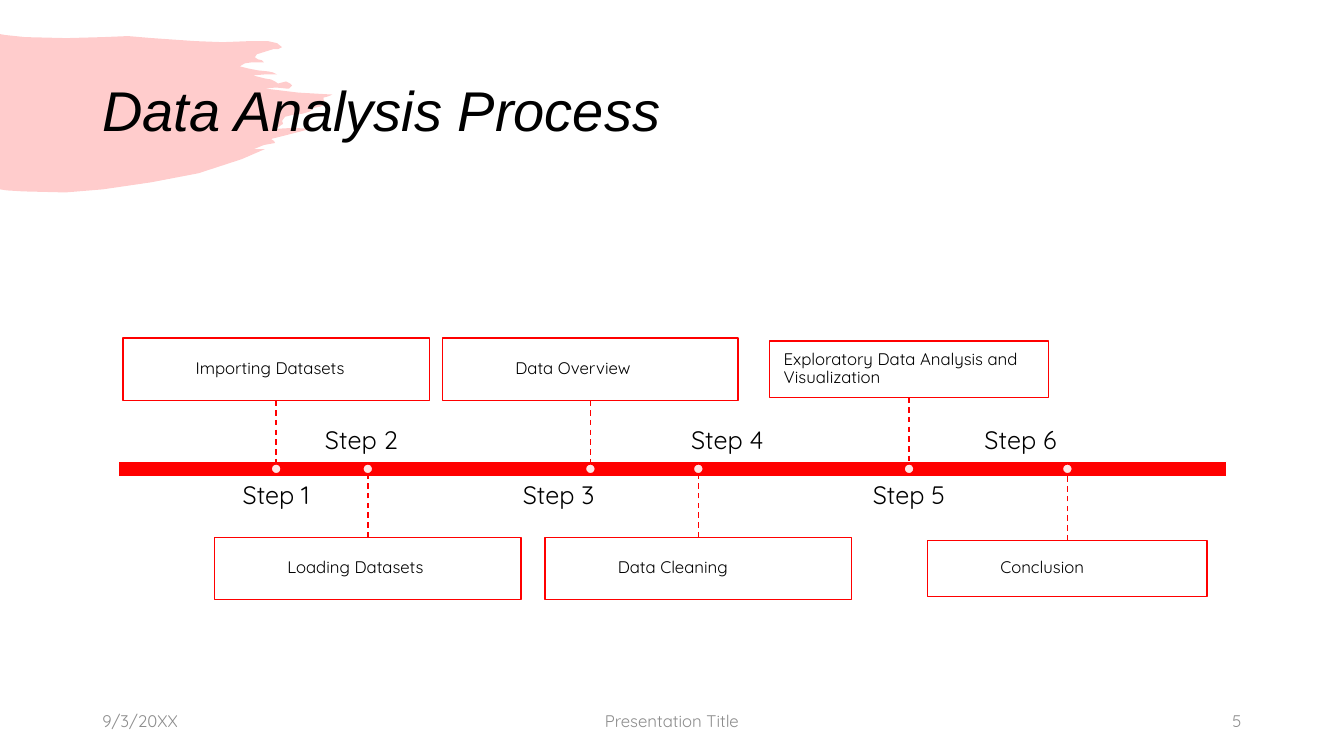
import pptx
import pptx.util
import pptx.dml.color
import pptx.enum.dml
import pptx.enum.shapes
import pptx.enum.text
import pptx.oxml
import pptx.oxml.ns

Cm, Pt = pptx.util.Cm, pptx.util.Pt
RGB = pptx.dml.color.RGBColor
SHAPE = pptx.enum.shapes.MSO_SHAPE
ANCHOR = pptx.enum.text.MSO_ANCHOR
ALIGN = pptx.enum.text.PP_ALIGN

COLORS = {"red": "FF0000", "white": "FFFFFF", "black": "000000", "gray": "8C8C8C"}
BODY = "Quicksand"

# Outline of the brush stroke, in hundredths of an inch
BRUSH = [
    (0, 34), (6, 35), (25, 37), (66, 38), (102, 37), (127, 36), (151, 38),
    (194, 41), (221, 42), (248, 41), (266, 41), (275, 43), (280, 47), (276, 49),
    (271, 49), (255, 54), (253, 57), (256, 59), (260, 60), (262, 62),
    (250, 62), (243, 63), (238, 66), (246, 68), (256, 70), (266, 71),
    (271, 72), (275, 74), (263, 74), (251, 75), (263, 78), (269, 79),
    (273, 81), (276, 83), (280, 82), (284, 81), (288, 83), (290, 85),
    (287, 88), (284, 88), (274, 87), (263, 88), (296, 92), (330, 94),
    (325, 96), (321, 97), (322, 104), (318, 106), (312, 107), (307, 111),
    (300, 113), (291, 114), (283, 116), (280, 120), (281, 123), (278, 125),
    (274, 128), (291, 127), (308, 128), (289, 133), (269, 138), (272, 140),
    (273, 142), (262, 144), (252, 148), (258, 148), (263, 148), (240, 158),
    (197, 172), (150, 181), (102, 188), (65, 191), (23, 190), (7, 189), (0, 188)]

# Text, centre of the box, its width and height, shift of the label, indent
STEPS = [
    ("Importing Datasets", 3.99, 7.72, 1.57, 0, 1.47),
    ("Loading Datasets", 6.3, 7.72, 1.57, -0.16, 1.47),
    ("Data Overview", 11.91, 7.44, 1.57, -0.8, 1.47),
    ("Data Cleaning", 14.63, 7.72, 1.57, 0.73, 1.47),
    ("Exploratory Data Analysis and Visualization", 19.94, 7.04, 1.42, 0, 0),
    ("Conclusion", 23.93, 7.04, 1.42, -1.18, 1.47)]


def tint(fill, color, alpha=100):
    """Fill with a solid colour, at the given percentage of opacity."""
    fill.solid()
    fill.fore_color.rgb = RGB.from_string(COLORS[color])
    if alpha < 100:
        tag = fill._xPr.find(".//" + pptx.oxml.ns.qn("a:srgbClr"))
        node = pptx.oxml.parse_xml(
            f'<a:alpha {pptx.oxml.ns.nsdecls("a")} val="{alpha * 1000}"/>')
        tag.append(node)


def write(shape, text, size, color="black", font=BODY, align=ALIGN.LEFT,
          anchor=ANCHOR.MIDDLE, pads=(0.25, 0.13), space=0.9):
    frame = shape.text_frame
    frame.text = text
    frame.word_wrap = True
    frame.auto_size = pptx.enum.text.MSO_AUTO_SIZE.NONE
    frame.vertical_anchor = anchor
    frame.margin_left = frame.margin_right = Cm(pads[0])
    frame.margin_top = frame.margin_bottom = Cm(pads[1])
    para = frame.paragraphs[0]
    para.alignment = align
    para.line_spacing = space
    face = para.runs[0].font
    face.name, face.size = font, Pt(size)
    face.color.rgb = RGB.from_string(COLORS[color])
    return para


def block(slide, kind, box, fill, line, alpha=100):
    """Add a preset shape with a one-point outline."""
    shape = slide.shapes.add_shape(kind, *map(Cm, box))
    shape.shadow.inherit = False
    tint(shape.fill, fill, alpha)
    tint(shape.line.fill, line)
    shape.line.width = Pt(1)
    return shape


def brush(slide, box):
    pen = slide.shapes.build_freeform(*BRUSH[0], scale=Cm(2.54) / 100)
    pen.add_line_segments(BRUSH[1:], close=True)
    shape = pen.convert_to_shape()
    shape.left, shape.top, shape.width, shape.height = map(Cm, box)
    shape.shadow.inherit = False
    tint(shape.fill, "red", 20)
    shape.line.fill.background()
    slide.shapes.title.element.addprevious(shape.element)


def title(slide, box):
    shape = slide.shapes.title
    shape.left, shape.top, shape.width, shape.height = map(Cm, box)
    para = write(shape, "Data Analysis Process", 40, font="Arial")
    para.runs[0].font.italic = True


def stem(slide, card, x, axis, above):
    """Join a card to the axis with a dashed line."""
    line = slide.shapes.add_connector(
        pptx.enum.shapes.MSO_CONNECTOR.STRAIGHT, Cm(x), Cm(axis), Cm(x), Cm(axis))
    line.begin_connect(card, 2 if above else 0)
    tint(line.line.fill, "red")
    line.line.width = Pt(1)
    line.line.dash_style = pptx.enum.dml.MSO_LINE.DASH
    line._element.spPr.append(pptx.oxml.parse_xml(
        f'<a:effectLst {pptx.oxml.ns.nsdecls("a")}/>'))


def step(slide, num, x, axis, text, width, height, shift, indent):
    above = num % 2 == 1
    side = -1 if above else 1
    card = block(slide, SHAPE.RECTANGLE,
                 (x - width / 2, axis + side * 2.51 - height / 2, width, height),
                 "white", "red", 90)
    para = write(card, text, 12, pads=(0.36, 0.08))
    para._p.get_or_add_pPr().set("marL", str(Cm(indent)))
    stem(slide, card, x, axis, above)

    wide, high, gap = 6.37, 1.07, 0.36
    top = axis + gap if above else axis - gap - high
    label = slide.shapes.add_textbox(
        Cm(x + shift - wide / 2), Cm(top), Cm(wide), Cm(high))
    write(label, f"Step {num}", 18, align=ALIGN.CENTER, pads=(0, 0),
          anchor=ANCHOR.TOP if above else ANCHOR.BOTTOM)

    dot = 0.25
    block(slide, SHAPE.OVAL, (x - dot / 2, axis - dot / 2, dot, dot),
          "white", "red", 90)


def timeline(slide, box):
    left, top, width, height = box
    axis, thick = top + height / 2, 0.38
    block(slide, SHAPE.RECTANGLE, (left, axis - thick / 2, width, thick),
          "red", "white")
    for num, (text, x, *rest) in enumerate(STEPS, 1):
        step(slide, num, left + x, axis, text, *rest)


def footer(slide, box):
    left, top, width, height = box
    side, mid = 7.62, 11.43
    parts = [("9/3/20XX", 0, side, ALIGN.LEFT),
             ("Presentation Title", (width - mid) / 2, mid, ALIGN.CENTER),
             ("5", width - side, side, ALIGN.RIGHT)]
    for text, x, wide, align in parts:
        shape = slide.shapes.add_textbox(
            Cm(left + x), Cm(top), Cm(wide), Cm(height))
        write(shape, text, 12, "gray", align=align, space=1.0)


def main():
    deck = pptx.Presentation()
    deck.slide_width, deck.slide_height = Cm(33.87), Cm(19.05)
    slide = deck.slides.add_slide(deck.slide_layouts[5])
    brush(slide, (0, 0.86, 8.38, 3.99))
    title(slide, (2.33, 1.01, 29.21, 3.68))
    timeline(slide, (2.97, 8.51, 27.94, 6.61))
    footer(slide, (2.33, 17.66, 29.21, 1.01))
    deck.save("out.pptx")


if __name__ == "__main__":
    main()
